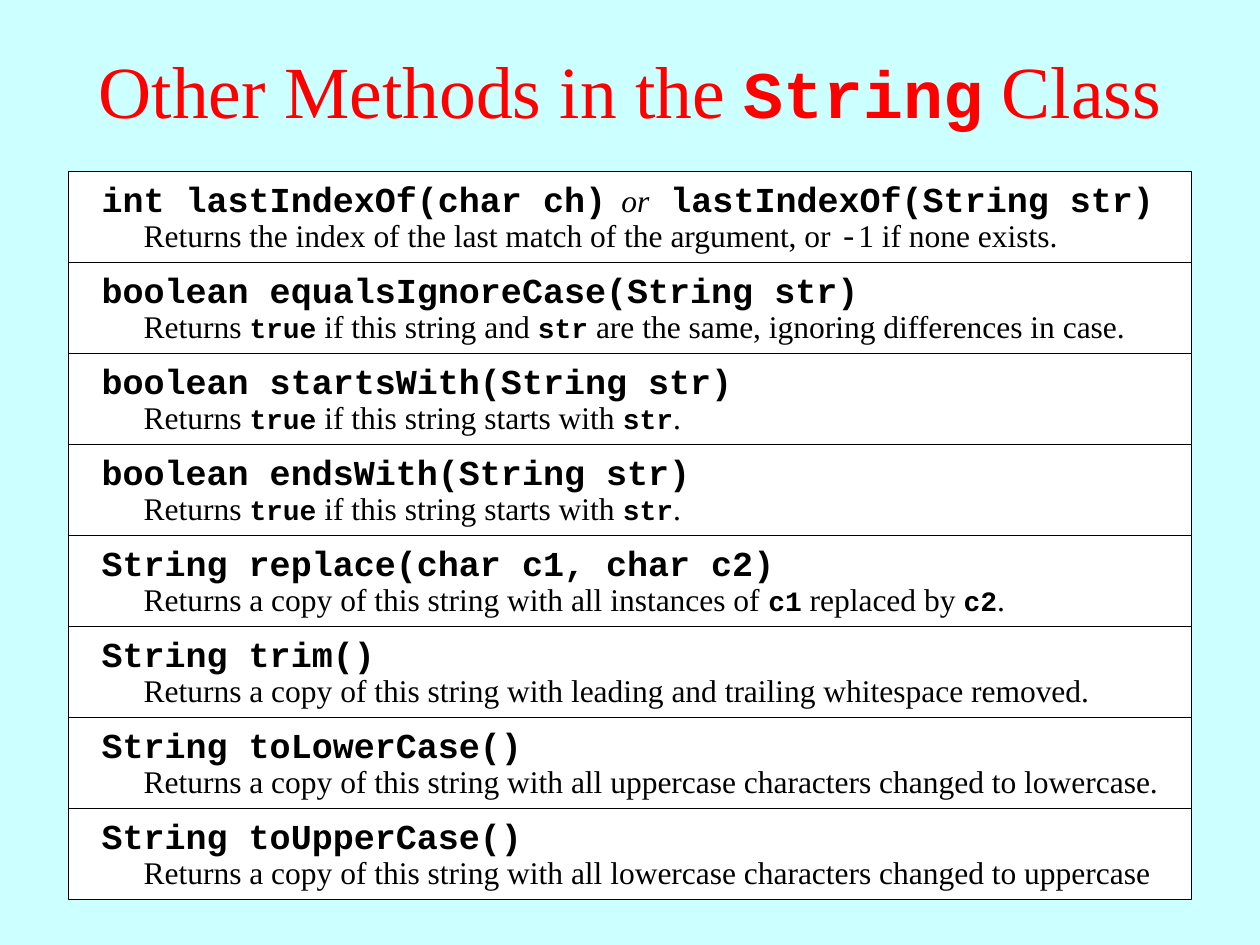
from pptx import Presentation
from pptx.dml.color import RGBColor
from pptx.enum.shapes import MSO_SHAPE as Shape
from pptx.enum.text import MSO_ANCHOR as Anchor, PP_ALIGN as Align
from pptx.util import Pt

SKY = RGBColor(0xCC, 0xFF, 0xFF)
RED = RGBColor(0xFF, 0x00, 0x00)
WHITE = RGBColor(0xFF, 0xFF, 0xFF)
BLACK = RGBColor(0x00, 0x00, 0x00)
SERIF = "Times New Roman"
MONO = "Courier New"

STYLES = {
    "title": (SERIF, 42, False, False),
    "title code": (MONO, 38, True, False),
    "signature": (MONO, 20, True, False),
    "small gap": (MONO, 14, True, False),
    "or": (SERIF, 18, False, True),
    "body": (SERIF, 18, False, False),
    "minus": (MONO, 18, False, False),
    "code": (MONO, 16, True, False),
}

TITLE = [("Other Methods in the ", "title"), ("String", "title code"), (" Class", "title")]
STARTS_WITH = [
    ("Returns ", "body"), ("true", "code"), (" if this string starts with ", "body"),
    ("str", "code"), (".", "body"),
]
METHODS = [
    ([("int lastIndexOf(char ch)", "signature"), (" ", "small gap"), ("or", "or"),
      (" lastIndexOf(String str)", "signature")],
     [("Returns the index of the last match of the argument, or ", "body"),
      ("-", "minus"), ("1 if none exists.", "body")]),
    ([("boolean equalsIgnoreCase(String str)", "signature")],
     [("Returns ", "body"), ("true", "code"), (" if this string and ", "body"),
      ("str", "code"), (" are the same, ignoring differences in case.", "body")]),
    ([("boolean startsWith(String str)", "signature")], STARTS_WITH),
    ([("boolean endsWith(String str)", "signature")], STARTS_WITH),
    ([("String replace(char c1, char c2)", "signature")],
     [("Returns a copy of this string with all instances of ", "body"), ("c1", "code"),
      (" replaced by ", "body"), ("c2", "code"), (".", "body")]),
    ([("String trim()", "signature")],
     [("Returns a copy of this string with leading and trailing whitespace removed.", "body")]),
    ([("String toLowerCase()", "signature")],
     [("Returns a copy of this string with all uppercase characters changed to lowercase.",
       "body")]),
    ([("String toUpperCase()", "signature")],
     [("Returns a copy of this string with all lowercase characters changed to uppercase",
       "body")]),
]
ROWS_TOP = 98
ROW_HEIGHT = 52


def add_text(shapes, left, top, width, height, spans, color=BLACK):
    box = shapes.add_textbox(Pt(left), Pt(top), Pt(width), Pt(height))
    box.text_frame.word_wrap = True
    para = box.text_frame.paragraphs[0]
    for text, style in spans:
        span = para.add_run()
        span.text = text
        font = span.font
        font.name, size, font.bold, font.italic = STYLES[style]
        font.size = Pt(size)
        font.color.rgb = color
    return box


def add_title(page):
    box = add_text(page.shapes, 0, 6, 720, 90, TITLE, RED)
    box.text_frame.vertical_anchor = Anchor.MIDDLE
    box.text_frame.paragraphs[0].alignment = Align.CENTER


def add_method(page, top, signature, description):
    shapes = page.shapes.add_group_shape().shapes
    panel = shapes.add_shape(Shape.RECTANGLE, Pt(39), Pt(top), Pt(642), Pt(ROW_HEIGHT))
    panel.shadow.inherit = False
    panel.fill.solid()
    panel.fill.fore_color.rgb = WHITE
    panel.line.color.rgb = BLACK
    panel.line.width = Pt(0.75)
    add_text(shapes, 51, top, 618, 31.5, signature)
    add_text(shapes, 75, top + 22, 600, 29, description)


def main():
    deck = Presentation()
    deck.slide_width, deck.slide_height = Pt(720), Pt(540)
    page = deck.slides.add_slide(deck.slide_layouts[6])
    page.background.fill.solid()
    page.background.fill.fore_color.rgb = SKY
    add_title(page)
    for row, (signature, description) in enumerate(METHODS):
        add_method(page, ROWS_TOP + row * ROW_HEIGHT, signature, description)
    deck.save("out.pptx")


if __name__ == "__main__":
    main()
